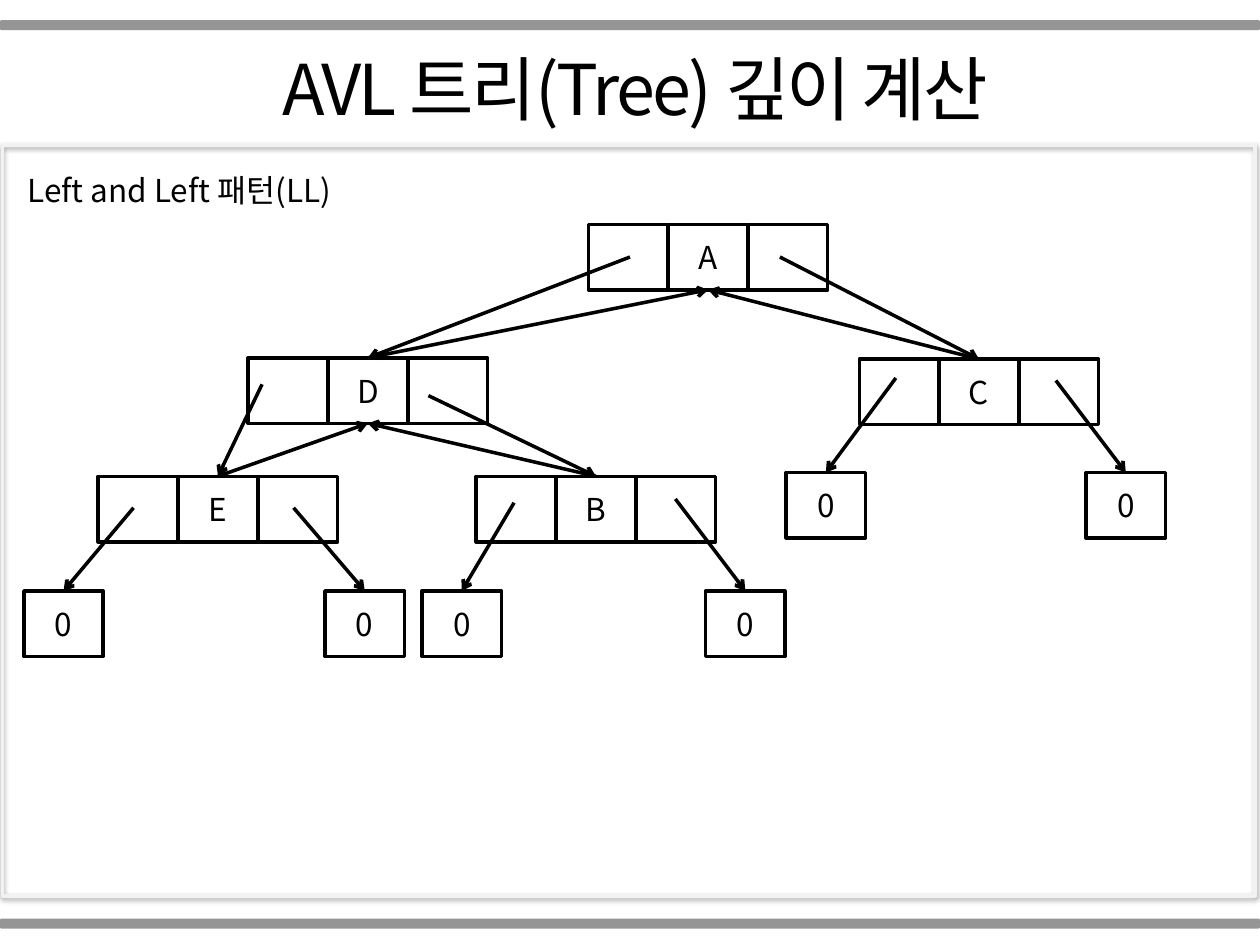
from typing import NamedTuple, Optional

from lxml.etree import SubElement
from pptx import Presentation
from pptx.dml.color import RGBColor
from pptx.enum.shapes import MSO_CONNECTOR, MSO_SHAPE
from pptx.enum.text import MSO_ANCHOR, MSO_AUTO_SIZE, PP_ALIGN
from pptx.oxml.ns import qn
from pptx.util import Inches, Pt

FONT = "Noto Sans CJK KR"
HEX = {"ink": "000000", "paper": "FFFFFF", "bar": "808080", "frame": "F2F2F2"}
WIDE, HIGH, STEP = 0.63, 0.52, 0.635


class Node(NamedTuple):
    text: str
    x: float
    y: float
    cells: int = 3
    up: str = ""                  # name of the parent node
    start: Optional[tuple] = None  # where the arrow from the parent begins

    @property
    def mid(self) -> float:
        return self.x + (self.cells - 1) * STEP / 2 + WIDE / 2


NODES = [
    Node("A", 4.67, 1.78),
    Node("D", 1.97, 2.84, up="A", start=(5, 2.04)),
    Node("C", 6.82, 2.85, up="A", start=(6.19, 2.04)),
    Node("E", 0.78, 3.78, up="D", start=(2.08, 3.05)),
    Node("B", 3.78, 3.78, up="D", start=(3.4, 3.14)),
    Node("0", 6.24, 3.75, 1, start=(7.11, 3)),
    Node("0", 8.62, 3.75, 1, start=(8.38, 3.02)),
    Node("0", 0.19, 4.69, 1, start=(1.06, 4.03)),
    Node("0", 2.58, 4.69, 1, start=(2.33, 4.03)),
    Node("0", 3.35, 4.69, 1, start=(4.08, 3.99)),
    Node("0", 5.6, 4.69, 1, start=(5.36, 3.96)),
]


def color(name: str) -> RGBColor:
    return RGBColor.from_string(HEX[name])


def write(shape, text: str, size=18, align=PP_ALIGN.CENTER,
          anchor=MSO_ANCHOR.MIDDLE, fit=MSO_AUTO_SIZE.NONE, space=0) -> None:
    frame = shape.text_frame
    frame.word_wrap = True
    frame.auto_size = fit
    frame.vertical_anchor = anchor
    para = frame.paragraphs[0]
    para.alignment = align
    run = para.add_run()
    run.text = text
    run.font.size = Pt(size)
    run.font.name = FONT
    run.font.color.rgb = color("ink")
    props = run.font._element
    SubElement(props, qn("a:ea")).set("typeface", FONT)
    if space:
        props.set("spc", str(round(space * 100)))


def block(slide, kind, x: float, y: float, w: float, h: float,
          fill: str = "", line: str = ""):
    shape = slide.shapes.add_shape(
        kind, Inches(x), Inches(y), Inches(w), Inches(h))
    shape.shadow.inherit = False
    if fill:
        shape.fill.solid()
        shape.fill.fore_color.rgb = color(fill)
    else:
        shape.fill.background()
    if line:
        shape.line.color.rgb = color(line)
        shape.line.width = Pt(2)
    else:
        shape.line.fill.background()
    return shape


def arrow(slide, start: tuple, end: tuple) -> None:
    line = slide.shapes.add_connector(
        MSO_CONNECTOR.STRAIGHT, *(Inches(v) for v in start + end))
    line.line.color.rgb = color("ink")
    line.line.width = Pt(2)
    SubElement(line.line._get_or_add_ln(), qn("a:tailEnd")).set("type", "arrow")
    SubElement(line._element.spPr, qn("a:effectLst"))


def panel(slide) -> None:
    shape = block(slide, MSO_SHAPE.RECTANGLE, 0.02, 1.15, 9.94, 5.96,
                  line="frame")
    effects = shape._element.spPr.find(qn("a:effectLst"))
    shade = SubElement(effects, qn("a:outerShdw"), blurRad=str(Pt(3.1)),
                       dist=str(Pt(1.6)), dir="5400000", rotWithShape="0")
    tint = SubElement(shade, qn("a:srgbClr"), val=HEX["ink"])
    SubElement(tint, qn("a:alpha"), val="38000")


def bar(slide, y: float) -> None:
    shape = block(slide, MSO_SHAPE.ROUNDED_RECTANGLE, 0, y, 10, 0.08, "bar")
    tint = shape._element.spPr.find(qn("a:solidFill"))[0]
    SubElement(tint, qn("a:alpha"), val="83000")


def draw(slide, node: Node) -> None:
    for i in range(node.cells):
        cell = block(slide, MSO_SHAPE.RECTANGLE, node.x + i * STEP, node.y,
                     WIDE, HIGH, "paper", "ink")
        if i == node.cells // 2:
            write(cell, node.text)


def main() -> None:
    deck = Presentation()
    deck.slide_width, deck.slide_height = Inches(10), Inches(7.5)
    slide = deck.slides.add_slide(deck.slide_layouts[5])

    # Frame and bars
    panel(slide)
    for y in (0.16, 7.29):
        bar(slide, y)

    # Title and heading
    title = slide.shapes.title
    title.left, title.top = Inches(0.07), Inches(0.31)
    title.width, title.height = Inches(9.94), Inches(0.77)
    grow = MSO_AUTO_SIZE.SHAPE_TO_FIT_TEXT
    write(title, "AVL 트리(Tree) 깊이 계산", size=40, anchor=MSO_ANCHOR.TOP,
          fit=grow, space=-1.5)
    head = slide.shapes.add_textbox(
        Inches(0.12), Inches(1.31), Inches(9.88), Inches(0.4))
    write(head, "Left and Left 패턴(LL)", align=PP_ALIGN.LEFT,
          anchor=MSO_ANCHOR.TOP, fit=grow)

    # Tree nodes
    for node in NODES:
        draw(slide, node)

    # Arrows down to each child and back up to its parent
    names = {node.text: node for node in NODES}
    for node in NODES:
        top = (node.mid, node.y)
        if node.start:
            arrow(slide, node.start, top)
        if node.up:
            above = names[node.up]
            arrow(slide, top, (above.mid, above.y + HIGH))

    deck.save("out.pptx")


if __name__ == "__main__":
    main()
